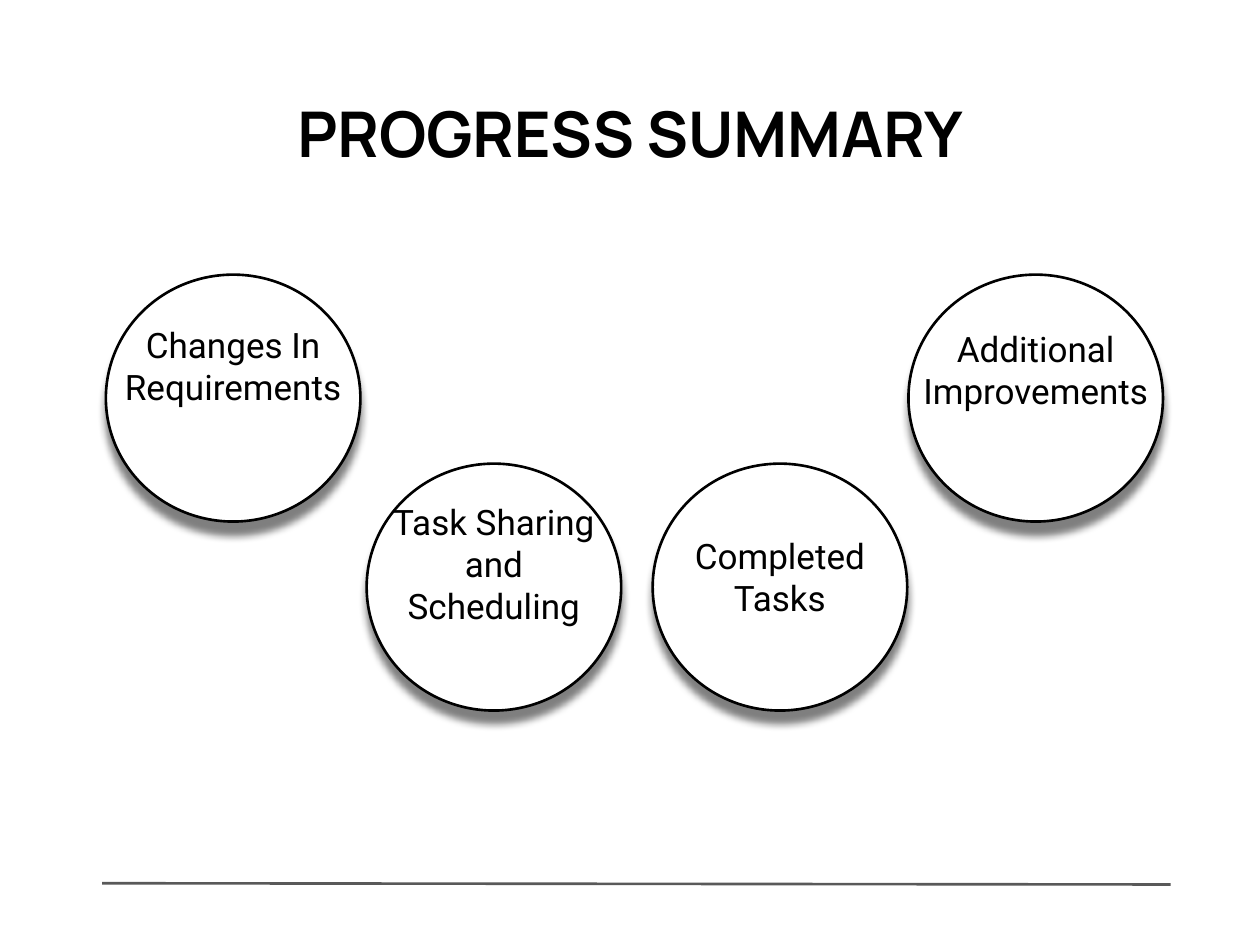
from lxml import etree
from pptx import Presentation
from pptx.dml.color import RGBColor
from pptx.enum import shapes, text
from pptx.oxml.ns import qn
from pptx.util import Inches, Pt

BLACK, WHITE, GREY = "000000", "FFFFFF", "595959"
CIRCLE_WIDTH, CIRCLE_HEIGHT = 2.02, 1.96
UPPER, LOWER = 2.18, 3.68

# label, circle left and top, label box, shadow distance in points
TOPICS = [
    ("Completed Tasks", 5.18, LOWER, (5.41, 4.14, 1.56, 1.04), 6.8),
    ("Changes In Requirements", 0.84, UPPER, (0.79, 2.47, 2.12, 1.04), 7.5),
    ("Additional Improvements", 7.21, UPPER, (7.21, 2.5, 2.02, 0.99), 7.5),
    ("Task Sharing and Scheduling", 2.91, LOWER, (2.97, 3.87, 1.9, 1.04), 6.8),
]


def color(value):
    return RGBColor.from_string(value)


def add_effects(shape):
    return etree.SubElement(shape._element.spPr, qn("a:effectLst"))


def add_shadow(shape, distance):
    """Soft half-transparent shadow falling straight down."""
    shadow = etree.SubElement(
        add_effects(shape), qn("a:outerShdw"), blurRad=str(Pt(4.5)),
        dist=str(Pt(distance)), dir="5400000", algn="bl", rotWithShape="0")
    tint = etree.SubElement(shadow, qn("a:srgbClr"), val=BLACK)
    etree.SubElement(tint, qn("a:alpha"), val="50000")


def add_label(parent, box, words, font, size, bold=False):
    frame = parent.add_textbox(*map(Inches, box)).text_frame
    frame.word_wrap = True
    frame.vertical_anchor = text.MSO_ANCHOR.TOP
    frame.margin_left = frame.margin_right = Inches(0.1)
    frame.margin_top = frame.margin_bottom = Inches(0.1)
    paragraph = frame.paragraphs[0]
    paragraph.text = words
    paragraph.alignment = text.PP_ALIGN.CENTER
    paragraph.font.name = font
    paragraph.font.size = Pt(size)
    paragraph.font.bold = bold
    paragraph.font.color.rgb = color(BLACK)


def add_topic(slide, words, left, top, label_box, shadow_distance):
    """Shadowed circle grouped with its label."""
    group = slide.shapes.add_group_shape().shapes
    circle = group.add_shape(
        shapes.MSO_SHAPE.OVAL, Inches(left), Inches(top),
        Inches(CIRCLE_WIDTH), Inches(CIRCLE_HEIGHT))
    circle.fill.solid()
    circle.fill.fore_color.rgb = color(WHITE)
    circle.line.color.rgb = color(BLACK)
    circle.line.width = Pt(1.5)
    add_shadow(circle, shadow_distance)
    add_label(group, label_box, words, "Roboto", 20)


def add_footer_rule(slide, *ends):
    rule = slide.shapes.add_connector(
        shapes.MSO_CONNECTOR.STRAIGHT, *map(Inches, ends))
    rule.line.color.rgb = color(GREY)
    rule.line.width = Pt(1.5)
    add_effects(rule)


def main():
    presentation = Presentation()
    presentation.slide_width = Inches(10)
    presentation.slide_height = Inches(7.5)
    slide = presentation.slides.add_slide(presentation.slide_layouts[6])

    # Title
    add_label(slide.shapes, (0.34, 0.65, 9.32, 0.83), "PROGRESS SUMMARY",
              "Manrope", 36, bold=True)
    # Topic circles
    for topic in TOPICS:
        add_topic(slide, *topic)
    # Footer
    add_footer_rule(slide, 0.81, 7.01, 9.29, 7.02)

    presentation.save("out.pptx")


if __name__ == "__main__":
    main()
